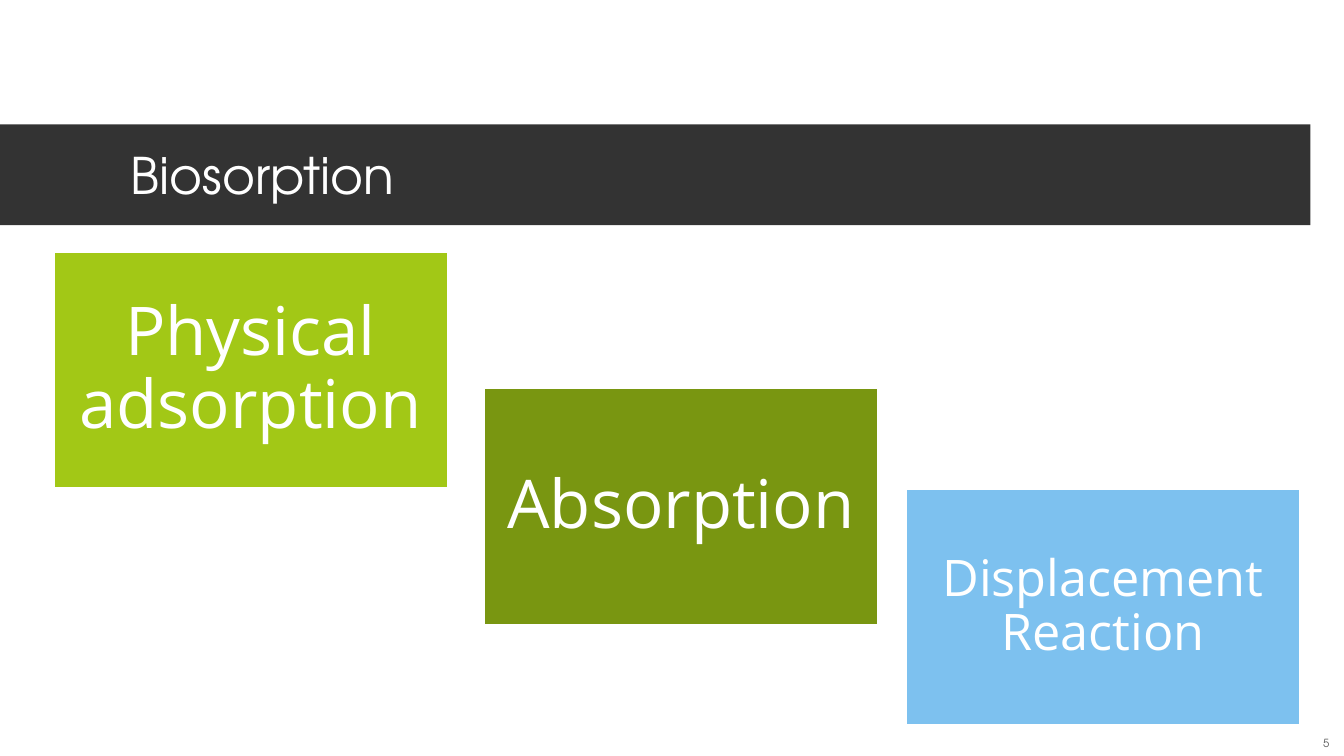
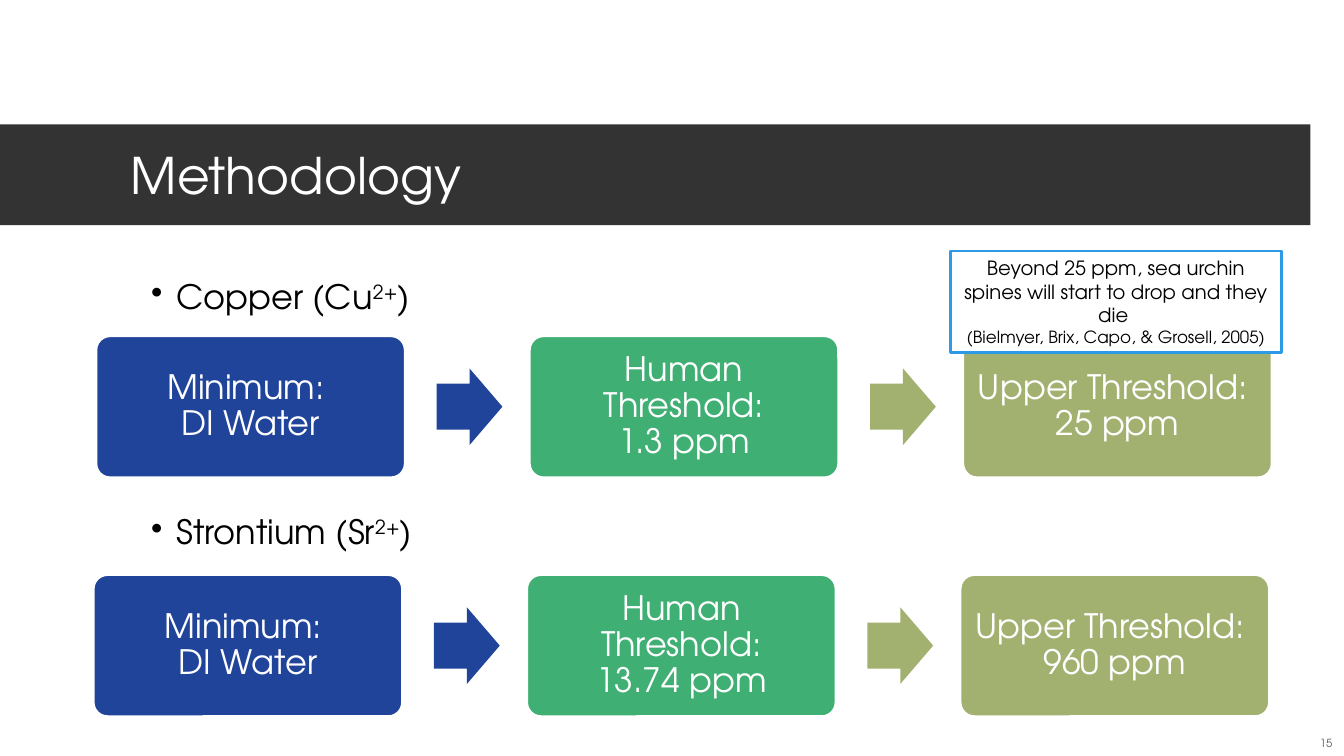
import pptx
import pptx.util
import pptx.dml.color
import pptx.enum.shapes
import pptx.enum.text
import lxml.etree

Pt = pptx.util.Pt
RGB = pptx.dml.color.RGBColor
KIND = pptx.enum.shapes.MSO_SHAPE
ALIGN = pptx.enum.text.PP_ALIGN
ANCHOR = pptx.enum.text.MSO_ANCHOR

WHITE = RGB(0xFF, 0xFF, 0xFF)
BLACK = RGB(0x00, 0x00, 0x00)
DARK = RGB(0x33, 0x33, 0x33)
GREY = RGB(0x59, 0x59, 0x59)
LIME = RGB(0xA2, 0xC8, 0x16)
OLIVE = RGB(0x79, 0x96, 0x11)
SKY = RGB(0x7D, 0xC1, 0xEF)
NAVY = RGB(0x21, 0x44, 0x9B)
GREEN = RGB(0x3F, 0xAF, 0x74)
SAGE = RGB(0xA2, 0xB1, 0x70)
BLUE = RGB(0x2C, 0x9A, 0xE5)

HEAD = "TeX Gyre Adventor"
BODY = "Open Sans"


def draw(slide, kind, box, fill=None, line=None):
    area = [Pt(v) for v in box]
    if kind is None:
        return slide.shapes.add_textbox(*area)
    shape = slide.shapes.add_shape(kind, *area)
    shape.shadow.inherit = False
    shape.fill.solid()
    shape.fill.fore_color.rgb = fill
    if line is None:
        shape.line.fill.background()
    else:
        shape.line.color.rgb = line
        shape.line.width = Pt(2)
    return shape


def write(shape, parts, color, size, face=HEAD, pads=(7.2, 3.6, 7.2, 3.6),
          anchor=ANCHOR.MIDDLE, align=ALIGN.CENTER, space=0.9):
    frame = shape.text_frame
    form = {"word_wrap": True, "vertical_anchor": anchor}
    sides = ("margin_left", "margin_top", "margin_right", "margin_bottom")
    form.update(zip(sides, map(Pt, pads)))
    for key, value in form.items():
        setattr(frame, key, value)
    para = frame.paragraphs[0]
    para.alignment = align
    para.line_spacing = space
    for part in parts:
        if part == "\n":
            para.add_line_break()
            continue
        run = para.add_run()
        run.text = part
        look = {"name": face, "size": Pt(size)}
        for key, value in look.items():
            setattr(run.font, key, value)
        run.font.color.rgb = color
    return para


deck = pptx.Presentation()
deck.slide_width = Pt(960)
deck.slide_height = Pt(540)

pages = []
for title, number in (("Biosorption", "5"), ("Methodology", "15")):
    page = deck.slides.add_slide(deck.slide_layouts[6])
    band = draw(page, KIND.RECTANGLE, (0, 88.8, 936, 72), DARK)
    write(band, [title], WHITE, 36, pads=(93.6, 3.6, 21.6, 3.6),
          align=ALIGN.LEFT, space=1)
    foot = draw(page, None, (934.5, 522, 25.5, 18))
    write(foot, [number], GREY, 8, pads=(0, 0, 0, 0), space=1)
    pages.append(page)

sorption, method = pages

cards = (
    ("Physical adsorption", 38, 180, LIME, 48, 14.4),
    ("Absorption", 345.6, 277.2, OLIVE, 48, 14.4),
    ("Displacement Reaction", 647, 349.2, SKY, 36, 10.8),
)
for text, left, top, fill, size, pad in cards:
    card = draw(sorption, KIND.RECTANGLE, (left, top, 282, 169.2), fill, WHITE)
    write(card, [text], WHITE, size, BODY, [pad] * 4)

STEP, WIDE, HIGH = 309.6, 221, 101.5
rows = (
    ("Copper (Cu", 196.6, 68.5, 239.8, "1.3 ppm", "25 ppm"),
    ("Strontium (Sr", 365, 66.6, 410.4, "13.74 ppm", "960 ppm"),
)
for name, top, left, base, human, upper in rows:
    label = draw(method, None, (100.8, top, 758, 37.4))
    para = write(label, [name, "2+", ")"], BLACK, 24,
                 anchor=ANCHOR.TOP, align=ALIGN.LEFT)
    props = para._p.get_or_add_pPr()
    props.set("marL", str(Pt(18)))
    props.set("indent", str(-Pt(18)))
    mark = lxml.etree.SubElement(props, pptx.oxml.ns.qn("a:buChar"))
    mark.set("char", "•")
    para.runs[1]._r.get_or_add_rPr().set("baseline", "30000")

    steps = (
        ("Minimum: ", "DI Water", NAVY, NAVY),
        ("Human Threshold:", human, GREEN, SAGE),
        ("Upper Threshold: ", upper, SAGE, None),
    )
    for col, (first, last, fill, tint) in enumerate(steps):
        x = left + col * STEP
        box = draw(method, KIND.ROUNDED_RECTANGLE, (x, base, WIDE, HIGH), fill, WHITE)
        box.adjustments[0] = 0.1
        write(box, [first, "\n", last], WHITE, 24, pads=[7.2] * 4)
        if tint is not None:
            arrow = draw(method, KIND.RIGHT_ARROW,
                         (x + 243.4, base + (HIGH - 54.8) / 2, 47, 54.8), tint)
            arrow.adjustments[0] = 0.6
            arrow.adjustments[1] = 0.5

note = draw(method, KIND.RECTANGLE, (679, 179.3, 236.2, 72.7), WHITE, BLUE)
write(note, ["Beyond 25 ppm, sea urchin spines will start to drop and they die "],
      BLACK, 14, anchor=ANCHOR.TOP, space=1)
cite = note.text_frame.add_paragraph()
cite.alignment = ALIGN.CENTER
run = cite.add_run()
run.text = "(Bielmyer, Brix, Capo, & Grosell, 2005)"
for key, value in {"name": HEAD, "size": Pt(12)}.items():
    setattr(run.font, key, value)
run.font.color.rgb = BLACK

deck.save("out.pptx")
